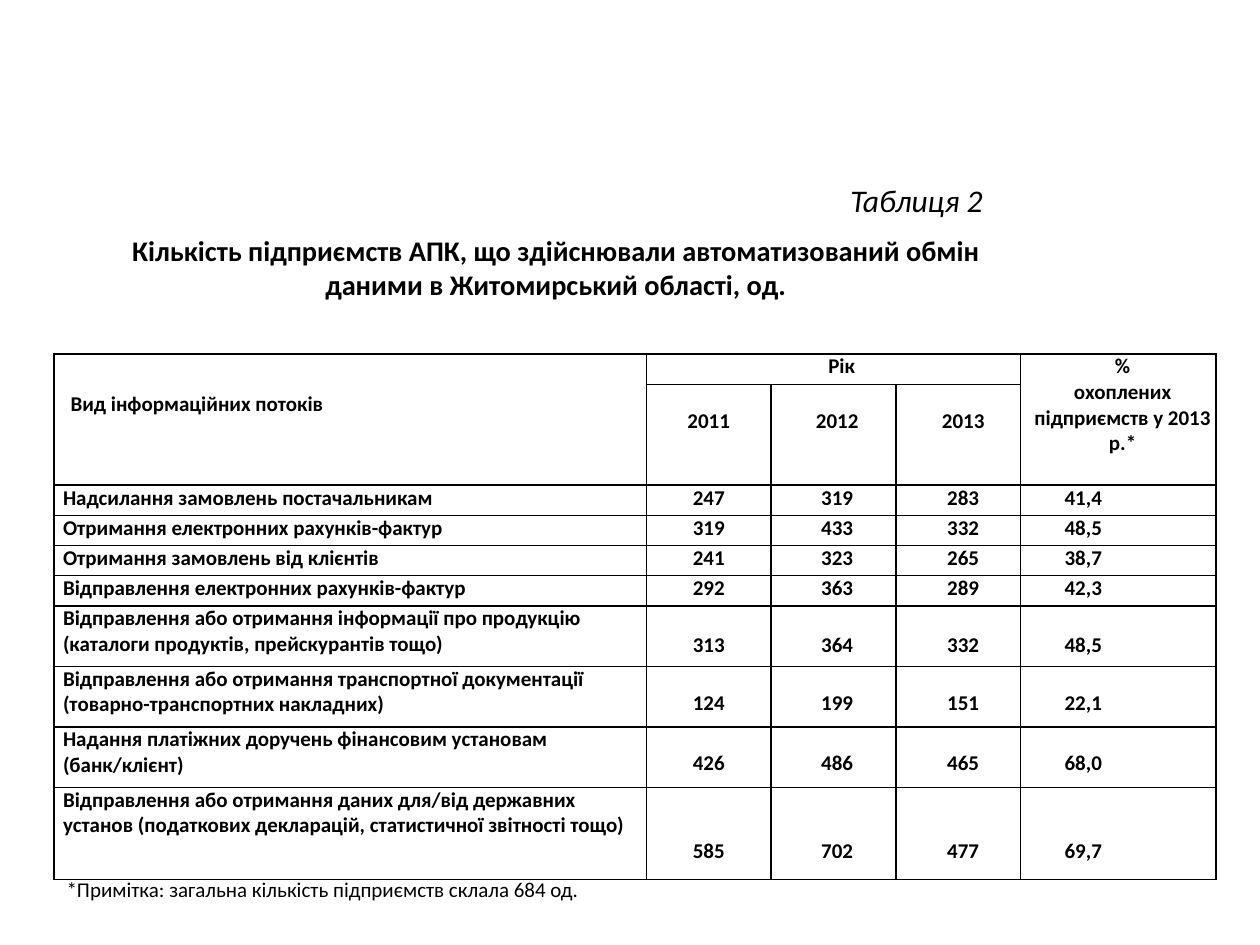
from lxml.etree import SubElement
from pptx import Presentation
from pptx.dml.color import RGBColor
from pptx.enum.text import MSO_ANCHOR, MSO_AUTO_SIZE, PP_ALIGN
from pptx.oxml.ns import qn
from pptx.util import Inches, Pt

BLACK = RGBColor(0x00, 0x00, 0x00)
WHITE = RGBColor(0xFF, 0xFF, 0xFF)

COLUMNS = [4.7, 0.99, 0.99, 0.99, 1.55]
ROWS = [0.24, 0.8] + [0.24] * 4 + [0.48] * 3 + [0.73]
INDENTS = [0.07, 0, 0.06, 0.08, 0.35]
FLOWS = [
    ("Надсилання замовлень постачальникам", "247", "319", "283", "41,4"),
    ("Отримання електронних рахунків-фактур", "319", "433", "332", "48,5"),
    ("Отримання замовлень від клієнтів", "241", "323", "265", "38,7"),
    ("Відправлення електронних рахунків-фактур", "292", "363", "289", "42,3"),
    ("Відправлення або отримання інформації про продукцію "
     "(каталоги продуктів, прейскурантів тощо)", "313", "364", "332", "48,5"),
    ("Відправлення або отримання транспортної документації "
     "(товарно-транспортних накладних)", "124", "199", "151", "22,1"),
    ("Надання платіжних доручень фінансовим установам\n(банк/клієнт)",
     "426", "486", "465", "68,0"),
    ("Відправлення або отримання даних для/від державних установ "
     "(податкових декларацій, статистичної звітності тощо)", "585", "702", "477", "69,7"),
]
VALUE_TOPS = [0] * 4 + [0.21, 0.19, 0.19, 0.41]


class SlideBuilder:
    """Holds the text style and the current slide, and adds elements to it."""

    def __init__(self, slide, font="Calibri", color=BLACK):
        self.s = slide
        self.font = font
        self.color = color

    def add_lines(self, tf, text, size, bold=False, italic=False, align=PP_ALIGN.LEFT, indent=0):
        for i, line in enumerate(text.split("\n")):
            p = tf.add_paragraph() if i else tf.paragraphs[0]
            p.alignment = align
            if indent:
                p._p.get_or_add_pPr().set("marL", str(Inches(indent)))
            r = p.add_run()
            r.text = line
            r.font.name = self.font
            r.font.size = Pt(size)
            r.font.bold = bold
            r.font.italic = italic
            r.font.color.rgb = self.color

    def title(self, text, left, top, width, height, size):
        sp = self.s.shapes.title
        sp.left, sp.top = Inches(left), Inches(top)
        sp.width, sp.height = Inches(width), Inches(height)
        tf = sp.text_frame
        tf.auto_size = MSO_AUTO_SIZE.NONE
        tf.vertical_anchor = MSO_ANCHOR.MIDDLE
        self.add_lines(tf, text, size, bold=True, align=PP_ALIGN.CENTER)

    def text(self, text, left, top, width, height, size, italic=False, wrap=True):
        sp = self.s.shapes.add_textbox(Inches(left), Inches(top), Inches(width), Inches(height))
        tf = sp.text_frame
        tf.word_wrap = wrap
        self.add_lines(tf, text, size, italic=italic)

    def table(self, left, top, columns, rows):
        sp = self.s.shapes.add_table(len(rows), len(columns), Inches(left), Inches(top),
                                     Inches(sum(columns)), Inches(sum(rows)))
        table = sp.table
        for column, width in zip(table.columns, columns):
            column.width = Inches(width)
        for row, height in zip(table.rows, rows):
            row.height = Inches(height)
        for cell in table.iter_cells():
            self.frame(cell)
        return table

    def frame(self, cell):
        cell.margin_left = cell.margin_right = cell.margin_top = cell.margin_bottom = 0
        tcPr = cell._tc.get_or_add_tcPr()
        for side in ("a:lnL", "a:lnR", "a:lnT", "a:lnB"):
            ln = SubElement(tcPr, qn(side), w=str(Pt(1)))
            fill = SubElement(ln, qn("a:solidFill"))
            SubElement(fill, qn("a:srgbClr"), val=str(BLACK))
        cell.fill.solid()
        cell.fill.fore_color.rgb = WHITE

    def cell(self, cell, text, align=PP_ALIGN.LEFT, indent=0, top=0):
        cell.margin_top = Inches(top)
        self.add_lines(cell.text_frame, text, 12, bold=True, align=align, indent=indent)


def main():
    prs = Presentation()
    prs.slide_width, prs.slide_height = Inches(10), Inches(7.5)
    s = SlideBuilder(prs.slides.add_slide(prs.slide_layouts[5]))

    s.title("Кількість підприємств АПК, що здійснювали автоматизований обмін "
            "даними в Житомирський області, од.", 0.75, 1.79, 7.32, 0.66, 16.2)
    s.text("Таблиця 2", 6.65, 1.39, 1.26, 0.4, 18, italic=True, wrap=False)

    table = s.table(0.43, 2.81, COLUMNS, ROWS)
    for start, end in (((0, 0), (1, 0)), ((0, 1), (0, 3)), ((0, 4), (1, 4))):
        table.cell(*start).merge(table.cell(*end))
    center = PP_ALIGN.CENTER
    s.cell(table.cell(0, 0), "Вид інформаційних потоків", indent=0.13, top=0.3)
    s.cell(table.cell(0, 1), "Рік", center, 0.13)
    s.cell(table.cell(0, 4), "%\nохоплених підприємств у 2013 р.*", center, 0.07)
    for col, year in enumerate(("2011", "2012", "2013"), 1):
        s.cell(table.cell(1, col), year, center, INDENTS[col], 0.19)

    for row, (flow, value_top) in enumerate(zip(FLOWS, VALUE_TOPS), 2):
        for col, text in enumerate(flow):
            align = center if col in (1, 2, 3) else PP_ALIGN.LEFT
            s.cell(table.cell(row, col), text, align, INDENTS[col], value_top if col else 0)

    s.text("*Примітка: загальна кількість підприємств склала 684 од.",
           0.43, 6.91, 6.38, 0.61, 12)
    prs.save("out.pptx")


if __name__ == "__main__":
    main()
